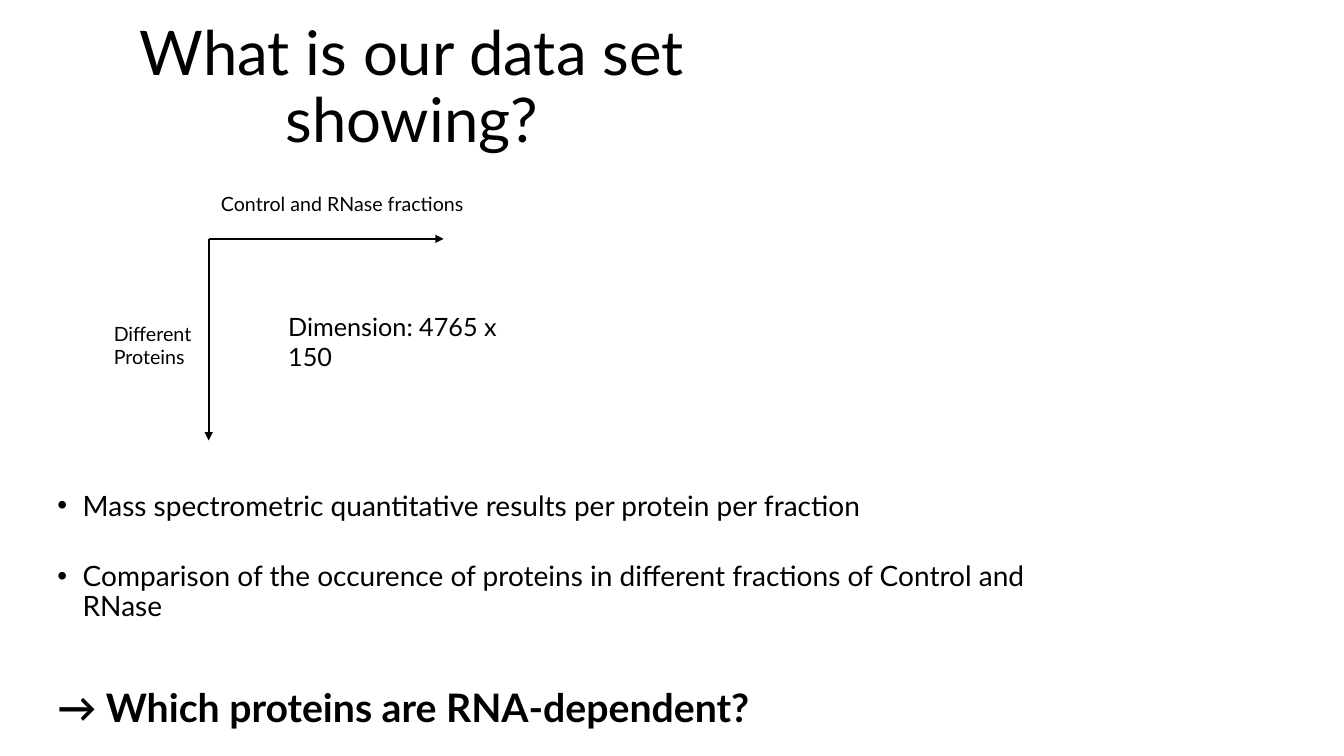
from lxml.etree import SubElement
from pptx import Presentation
from pptx.dml.color import RGBColor
from pptx.enum.shapes import MSO_CONNECTOR as Connector
from pptx.enum.text import MSO_ANCHOR as Anchor, MSO_AUTO_SIZE as AutoSize, PP_ALIGN as Align
from pptx.oxml.ns import qn
from pptx.util import Inches, Pt

# Content
COLORS = {"ink": "000000"}
FONT = "Lato"
TITLE = "What is our data set showing?"
TITLE_BOX = (0.27, 0.16, 7.63, 1.45)
POINTS_BOX = (0.47, 4.83, 10.64, 2.13)
# text, size, space before, bold, bulleted
POINTS = [
    ("Mass spectrometric quantitative results per protein per fraction", 20, 10, False, True),
    ("Comparison of the occurence of proteins in different fractions of Control and RNase",
     20, 28.5, False, True),
    ("→ Which proteins are RNA-dependent?", 28, 47, True, False),
]
# text, box, size, alignment
LABELS = [
    ("Control and RNase fractions", (2.04, 1.86, 2.71, 0.34), 14, Align.CENTER),
    ("Different Proteins", (1.03, 3.14, 1.22, 0.57), 14, Align.LEFT),
    ("Dimension: 4765 x 150", (2.76, 3.04, 2.65, 0.4), 18, Align.LEFT),
]
AXIS_ORIGIN = (2.07, 2.37)
AXIS_LENGTHS = [(0, 2), (2.33, 0)]
INDENT = Inches(0.25)


def place(shape, box):
    for side, length in zip(("left", "top", "width", "height"), box):
        setattr(shape, side, Inches(length))


def write(paragraph, text, size, bold=False, **layout):
    run = paragraph.add_run()
    run.text = text
    for key, value in {"name": FONT, "size": Pt(size), "bold": bold}.items():
        setattr(run.font, key, value)
    run.font.color.rgb = RGBColor.from_string(COLORS["ink"])
    for key, value in layout.items():
        setattr(paragraph, key, value)


def set_bullet(paragraph, bulleted):
    properties = paragraph._p.get_or_add_pPr()
    properties.set("marL", str(INDENT if bulleted else 0))
    properties.set("indent", str(-INDENT if bulleted else 0))
    if bulleted:
        SubElement(properties, qn("a:buFont")).set("typeface", "Arial")
        SubElement(properties, qn("a:buChar")).set("char", "•")
    else:
        SubElement(properties, qn("a:buNone"))


deck = Presentation()
deck.slide_width, deck.slide_height = Inches(13.33), Inches(7.5)
slide = deck.slides.add_slide(deck.slide_layouts[1])

# Title
title = slide.shapes.title
place(title, TITLE_BOX)
title.text_frame.auto_size = AutoSize.NONE
title.text_frame.vertical_anchor = Anchor.MIDDLE
write(title.text_frame.paragraphs[0], TITLE, 44, alignment=Align.CENTER, line_spacing=0.9)

# Findings and the question they raise
points = slide.placeholders[1]
place(points, POINTS_BOX)
points.text_frame.auto_size = AutoSize.NONE
for number, (text, size, gap, bold, bulleted) in enumerate(POINTS):
    frame = points.text_frame
    point = frame.add_paragraph() if number else frame.paragraphs[0]
    write(point, text, size, bold, line_spacing=0.9, space_before=Pt(gap))
    set_bullet(point, bulleted)

# Axes of the data matrix
x, y = AXIS_ORIGIN
for dx, dy in AXIS_LENGTHS:
    axis = slide.shapes.add_connector(
        Connector.STRAIGHT, Inches(x), Inches(y), Inches(x + dx), Inches(y + dy))
    axis.line.color.rgb = RGBColor.from_string(COLORS["ink"])
    axis.line.width = Pt(1.5)
    SubElement(axis.line._get_or_add_ln(), qn("a:tailEnd")).set("type", "triangle")
    SubElement(axis._element.spPr, qn("a:effectLst"))

# Matrix labels
for text, box, size, alignment in LABELS:
    label = slide.shapes.add_textbox(*map(Inches, box))
    label.text_frame.word_wrap = True
    write(label.text_frame.paragraphs[0], text, size, alignment=alignment)

deck.save("out.pptx")
